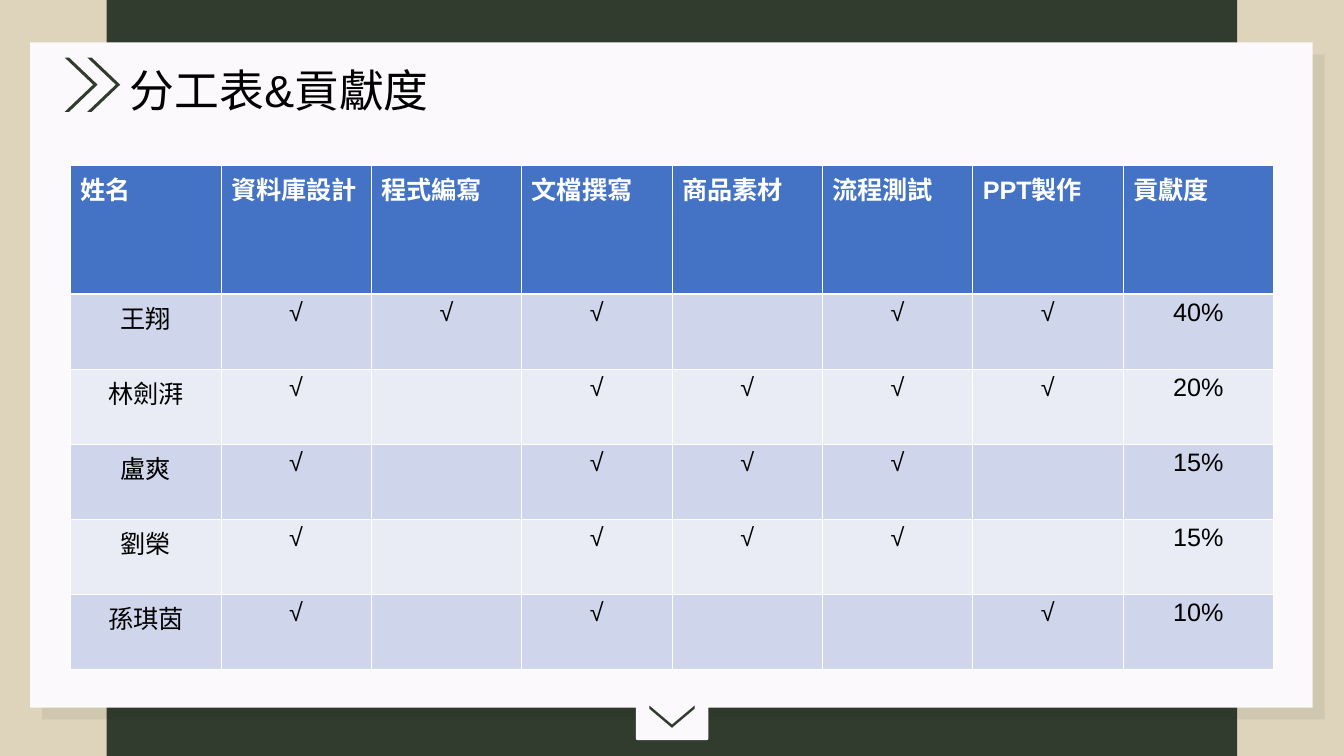
from dataclasses import dataclass

from lxml.etree import SubElement
from pptx import Presentation
from pptx.dml.color import RGBColor
from pptx.enum.shapes import MSO_SHAPE
from pptx.enum.text import MSO_ANCHOR, MSO_AUTO_SIZE, PP_ALIGN
from pptx.oxml import parse_xml
from pptx.oxml.ns import nsdecls, qn
from pptx.util import Cm, Pt


@dataclass(frozen=True)
class Theme:
    font: str = "Arial"
    sand: str = "DED4BB"
    forest: str = "313C2E"
    paper: str = "FBF9FB"
    ink: str = "000000"
    white: str = "FFFFFF"
    header: str = "4472C4"
    bands: tuple = ("CFD5EA", "E9EBF5")
    title_size: int = 32
    cell_size: int = 18
    thin: float = 0.45
    thick: float = 1.47


THEME = Theme()
HEADINGS = ("姓名", "資料庫設計", "程式編寫", "文檔撰寫",
            "商品素材", "流程測試", "PPT製作", "貢獻度")
MEMBERS = (
    ("王翔", "√", "√", "√", "", "√", "√", "40%"),
    ("林劍湃", "√", "", "√", "√", "√", "√", "20%"),
    ("盧爽", "√", "", "√", "√", "√", "", "15%"),
    ("劉榮", "√", "", "√", "√", "√", "", "15%"),
    ("孫琪茵", "√", "", "√", "", "", "√", "10%"),
)
COLUMN_WIDTH = 3.79
HEADER_HEIGHT = 3.24
MEMBER_HEIGHT = 1.89


def paint(fill, color):
    fill.solid()
    fill.fore_color.rgb = RGBColor.from_string(color)


def add_panel(slide, preset, left, top, width, height, color):
    panel = slide.shapes.add_shape(preset, Cm(left), Cm(top), Cm(width), Cm(height))
    paint(panel.fill, color)
    panel.line.fill.background()
    panel.shadow.inherit = False
    return panel


def cast_shadow(panel, color, alpha, distance, angle):
    effects = panel.element.spPr.find(qn("a:effectLst"))
    shadow = SubElement(effects, qn("a:outerShdw"), blurRad="0",
                        dist=str(Pt(distance)), dir=str(angle * 60000),
                        algn="tl", rotWithShape="0")
    tint = SubElement(shadow, qn("a:srgbClr"), val=color)
    SubElement(tint, qn("a:alpha"), val=str(alpha * 1000))


def add_chevron(slide, left, top, depth, span, thickness, down=False):
    outline = [(0, 0), (thickness, 0), (depth, span / 2),
               (thickness, span), (0, span), (depth - thickness, span / 2)]
    if down:
        outline = [(across, along) for along, across in outline]
    points = [(Cm(left + x), Cm(top + y)) for x, y in outline]
    builder = slide.shapes.build_freeform(*points[0])
    builder.add_line_segments(points[1:])
    chevron = builder.convert_to_shape()
    paint(chevron.fill, THEME.forest)
    chevron.line.fill.background()
    chevron.shadow.inherit = False


def write(paragraph, text, size, color, bold=False, align=PP_ALIGN.LEFT):
    paragraph.alignment = align
    run = paragraph.add_run()
    run.text = text
    run.font.name = THEME.font
    run.font.size = Pt(size)
    run.font.bold = bold
    run.font.color.rgb = RGBColor.from_string(color)


def place_title(slide, text):
    title = slide.shapes.title
    title.element.getparent().append(title.element)
    title.left, title.top, title.width, title.height = Cm(3.02), Cm(1.45), Cm(8.1), Cm(4.32)
    frame = title.text_frame
    frame.word_wrap = True
    frame.auto_size = MSO_AUTO_SIZE.NONE
    frame.vertical_anchor = MSO_ANCHOR.TOP
    write(frame.paragraphs[0], text, THEME.title_size, THEME.ink)


def border_cell(cell, top, bottom):
    properties = cell._tc.get_or_add_tcPr()
    widths = (("lnL", THEME.thin), ("lnR", THEME.thin), ("lnT", top), ("lnB", bottom))
    for position, (side, width) in enumerate(widths):
        properties.insert(position, parse_xml(
            f'<a:{side} {nsdecls("a")} w="{Pt(width)}"><a:solidFill>'
            f'<a:srgbClr val="{THEME.white}"/></a:solidFill></a:{side}>'))


def fill_row(table, index, texts):
    is_header = index == 0
    background = THEME.header if is_header else THEME.bands[(index - 1) % 2]
    color = THEME.white if is_header else THEME.ink
    align = PP_ALIGN.LEFT if is_header else PP_ALIGN.CENTER
    top = THEME.thick if index == 1 else THEME.thin
    bottom = THEME.thick if is_header else THEME.thin
    for column, text in enumerate(texts):
        cell = table.cell(index, column)
        paint(cell.fill, background)
        border_cell(cell, top, bottom)
        if text:
            write(cell.text_frame.paragraphs[0], text, THEME.cell_size, color, is_header, align)


def add_contributions(slide):
    rows = (HEADINGS, *MEMBERS)
    table = slide.shapes.add_table(
        len(rows), len(HEADINGS), Cm(1.78), Cm(4.17),
        Cm(COLUMN_WIDTH * len(HEADINGS)),
        Cm(HEADER_HEIGHT + MEMBER_HEIGHT * len(MEMBERS))).table
    for column in table.columns:
        column.width = Cm(COLUMN_WIDTH)
    for index, texts in enumerate(rows):
        table.rows[index].height = Cm(MEMBER_HEIGHT if index else HEADER_HEIGHT)
        fill_row(table, index, texts)


def add_backdrop(slide):
    paint(slide.background.fill, THEME.sand)
    add_panel(slide, MSO_SHAPE.RECTANGLE, 2.69, 0, 28.5, 19.05, THEME.forest)
    card = add_panel(slide, MSO_SHAPE.RECTANGLE, 0.76, 1.07, 32.33, 16.76, THEME.paper)
    cast_shadow(card, THEME.ink, 5, 12.1, 45)
    tab = add_panel(slide, MSO_SHAPE.ROUNDED_RECTANGLE, 16.03, 17.48, 1.83, 1.17, THEME.paper)
    tab.adjustments[0] = 0.04
    cast_shadow(tab, THEME.forest, 29, 15, 90)
    add_chevron(slide, 16.37, 17.78, 0.56, 1.14, 0.08, down=True)


def main():
    presentation = Presentation()
    presentation.slide_width = Cm(33.88)
    presentation.slide_height = Cm(19.05)
    slide = presentation.slides.add_slide(presentation.slide_layouts[5])
    add_backdrop(slide)
    place_title(slide, "分工表&貢獻度")
    for left in (1.63, 2.2):
        add_chevron(slide, left, 1.45, 0.83, 1.37, 0.11)
    add_contributions(slide)
    presentation.save("out.pptx")


if __name__ == "__main__":
    main()
